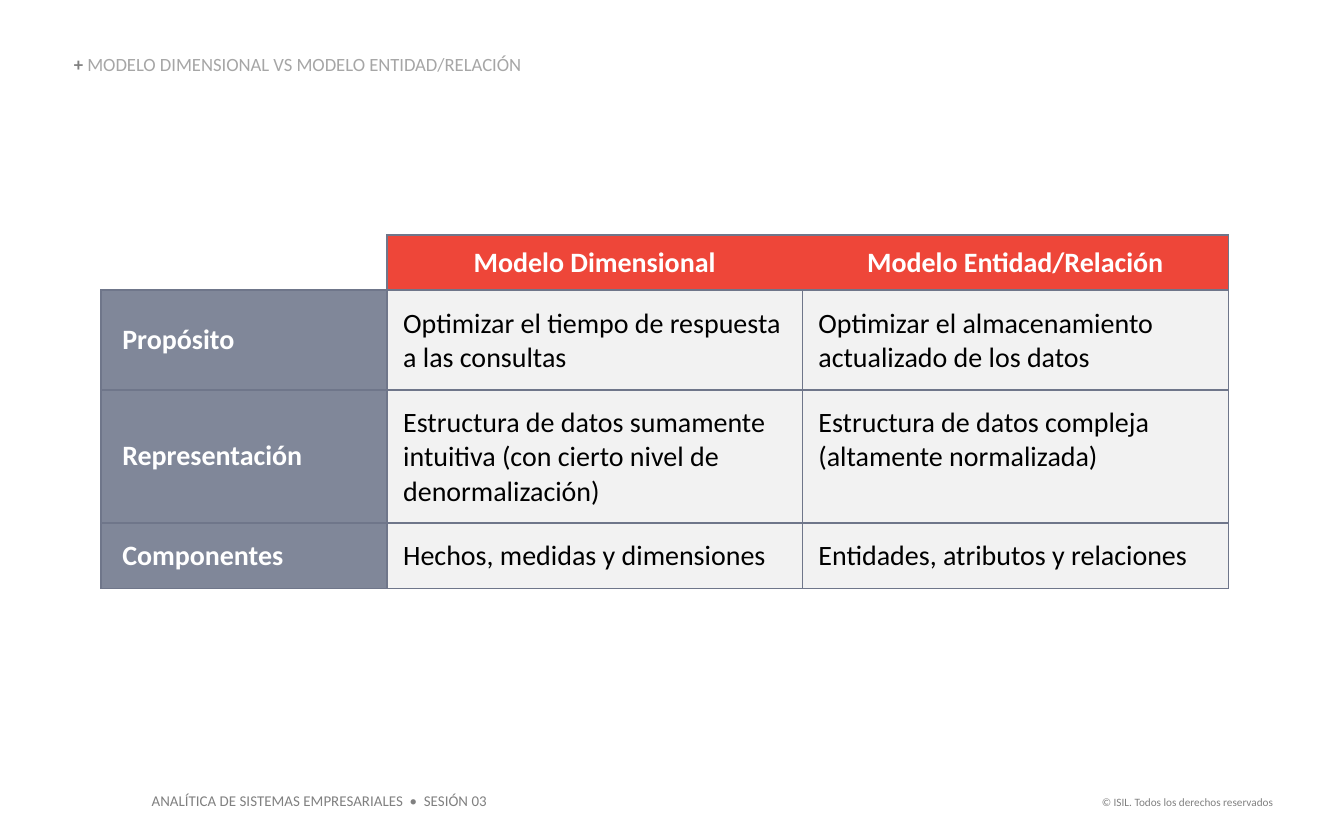
import pptx
import pptx.dml.color
import pptx.enum.text
import pptx.oxml
import pptx.oxml.ns
import pptx.util

COLORS = {
    "white": "FFFFFF",
    "black": "000000",
    "red": "EE4639",
    "slate": "808799",
    "light": "F2F2F2",
    "border": "6F768A",
    "gray": "808080",
    "title": "A6A6A6",
}
ALIGN = pptx.enum.text.PP_ALIGN
ANCHOR = pptx.enum.text.MSO_ANCHOR
INSETS = (1, 0.5, 1, 0.5)  # left, top, right, bottom in grid units


def grid(units):
    """The slide is a grid of 100 columns by 62.5 rows, each 0.1 inch."""
    return pptx.util.Inches(units / 10)


def write_text(paragraph, text, size=15, color="black", bold=False,
               align=ALIGN.LEFT, font="Calibri"):
    paragraph.alignment = align
    run = paragraph.add_run()
    run.text = text
    run.font.name = font
    run.font.size = pptx.util.Pt(size)
    run.font.bold = bold
    run.font.color.rgb = pptx.dml.color.RGBColor.from_string(COLORS[color])


class SlideBuilder:
    def __init__(self, presentation):
        self.slide = presentation.slides.add_slide(presentation.slide_layouts[6])

    def text_box(self, left, top, width, height, insets=INSETS, wrap=False,
                 anchor=ANCHOR.TOP):
        """Add an empty text box and return its first paragraph."""
        shape = self.slide.shapes.add_textbox(
            grid(left), grid(top), grid(width), grid(height))
        frame = shape.text_frame
        frame.word_wrap = wrap
        frame.vertical_anchor = anchor
        (frame.margin_left, frame.margin_top,
         frame.margin_right, frame.margin_bottom) = map(grid, insets)
        return frame.paragraphs[0]

    def table(self, left, top, columns, rows):
        shape = self.slide.shapes.add_table(
            len(rows), len(columns), grid(left), grid(top),
            grid(sum(columns)), grid(sum(rows)))
        table = shape.table
        table.horz_banding = False
        for column, width in zip(table.columns, columns):
            column.width = grid(width)
        for row, height in zip(table.rows, rows):
            row.height = grid(height)
        return table

    def cell(self, cell, text, fill, borders, insets=INSETS,
             anchor=ANCHOR.MIDDLE, **text_format):
        """Fill one cell; borders gives the widths of L, R, T and B in points."""
        properties = cell._tc.get_or_add_tcPr()
        for side, width in zip("LRTB", borders):
            paint = (f'<a:solidFill><a:srgbClr val="{COLORS["border"]}"/></a:solidFill>'
                     if width else "<a:noFill/>")
            properties.append(pptx.oxml.parse_xml(
                f'<a:ln{side} {pptx.oxml.ns.nsdecls("a")} '
                f'w="{pptx.util.Pt(width)}">{paint}</a:ln{side}>'))
        cell.fill.solid()
        cell.fill.fore_color.rgb = pptx.dml.color.RGBColor.from_string(COLORS[fill])
        cell.vertical_anchor = anchor
        (cell.margin_left, cell.margin_top,
         cell.margin_right, cell.margin_bottom) = map(grid, insets)
        paragraph = cell.text_frame.paragraphs[0]
        if text:
            write_text(paragraph, text, **text_format)
        else:
            paragraph.font.size = pptx.util.Pt(15)


def main():
    presentation = pptx.Presentation()
    presentation.slide_width = grid(100)
    presentation.slide_height = grid(62.5)
    builder = SlideBuilder(presentation)

    # Footer
    write_text(builder.text_box(10.3, 58.4, 27, 2.4),
               "ANALÍTICA DE SISTEMAS EMPRESARIALES  •  SESIÓN 03",
               size=8, color="gray")
    write_text(builder.text_box(80.7, 58.7, 15, 2),
               "© ISIL. Todos los derechos reservados",
               size=6, color="gray", align=ALIGN.RIGHT)

    # Title
    title = builder.text_box(5.5, 4.1, 42.1, 1.5, insets=(0, 0, 0, 0),
                             wrap=True, anchor=ANCHOR.BOTTOM)
    title.line_spacing = 0.9
    write_text(title, "+ ", size=10, color="gray", bold=True)
    write_text(title, "MODELO DIMENSIONAL VS MODELO ENTIDAD/RELACIÓN",
               size=10, color="title")

    # Comparison table
    content = [
        ("", "Modelo Dimensional", "Modelo Entidad/Relación"),
        ("Propósito", "Optimizar el tiempo de respuesta a las consultas",
         "Optimizar el almacenamiento actualizado de los datos"),
        ("Representación",
         "Estructura de datos sumamente intuitiva (con cierto nivel de denormalización)",
         "Estructura de datos compleja (altamente normalizada)"),
        ("Componentes", "Hechos, medidas y dimensiones",
         "Entidades, atributos y relaciones"),
    ]
    heading = dict(fill="red", color="white", bold=True, align=ALIGN.CENTER)
    label = dict(fill="slate", color="white", bold=True, insets=(1.6, 0.5, 1.2, 0.5))
    body = dict(fill="light", insets=(1.2, 1.2, 1, 1.2), anchor=ANCHOR.TOP)
    table = builder.table(7.5, 17.5, columns=(21.3, 30.9, 31.7),
                          rows=(4.1, 7.3, 9.9, 4.8))
    for row, texts in enumerate(content):
        inner = 0.5 if row else 0  # the line between the two models
        for column, text in enumerate(texts):
            if row == 0 and column == 0:
                builder.cell(table.cell(0, 0), text, "white", (0, 1, 0, 1))
                continue
            style = heading if row == 0 else label if column == 0 else body
            borders = (inner if column == 2 else 1, inner if column == 1 else 1, 1, 1)
            builder.cell(table.cell(row, column), text, borders=borders, **style)

    presentation.save("out.pptx")


if __name__ == "__main__":
    main()
